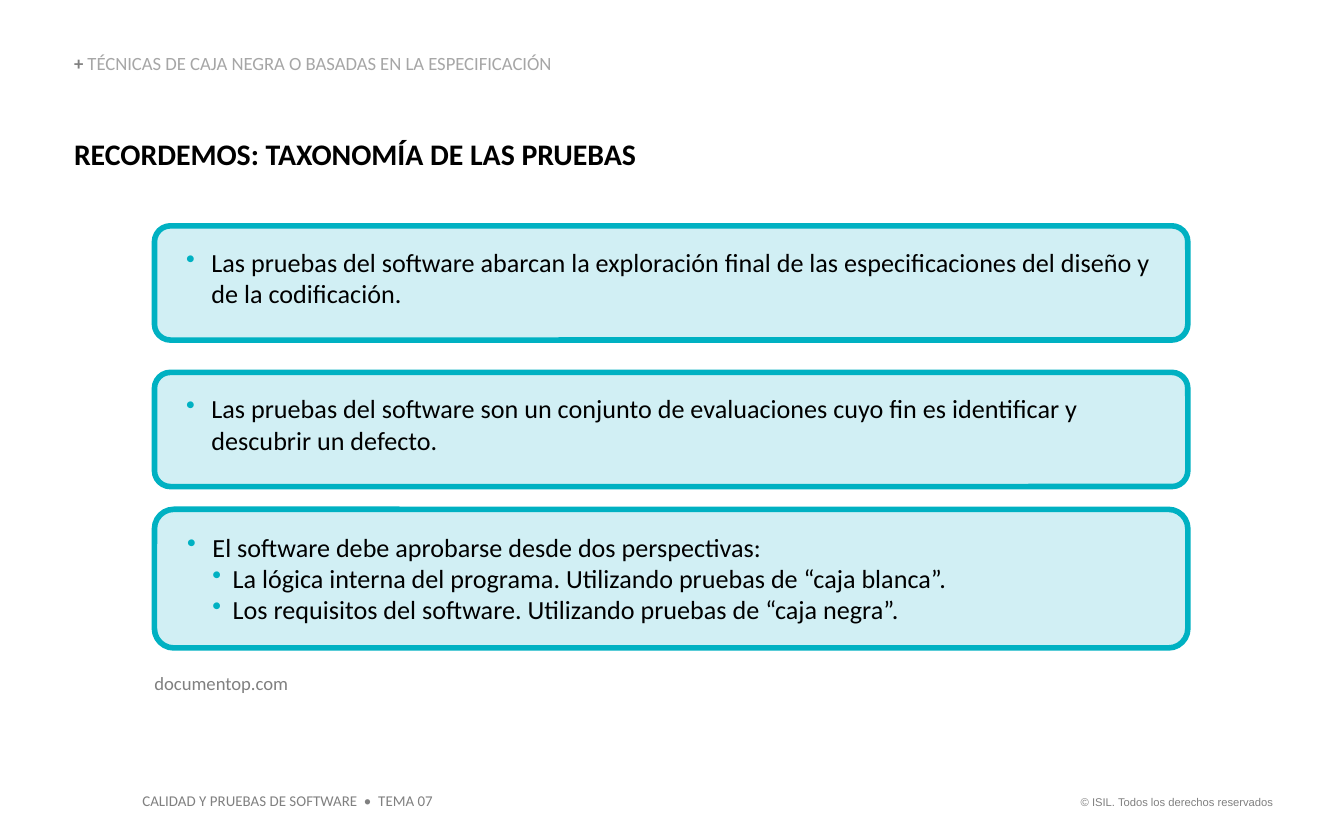
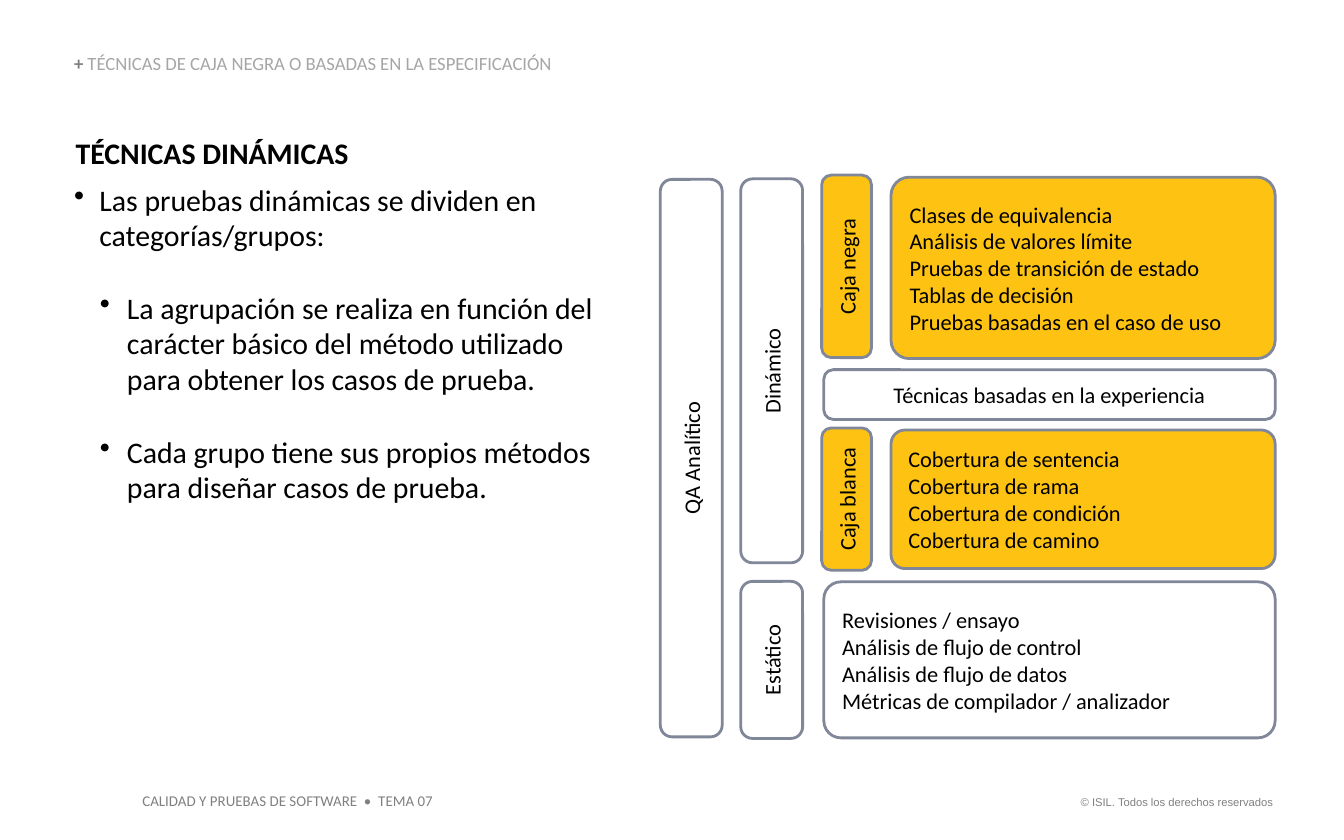
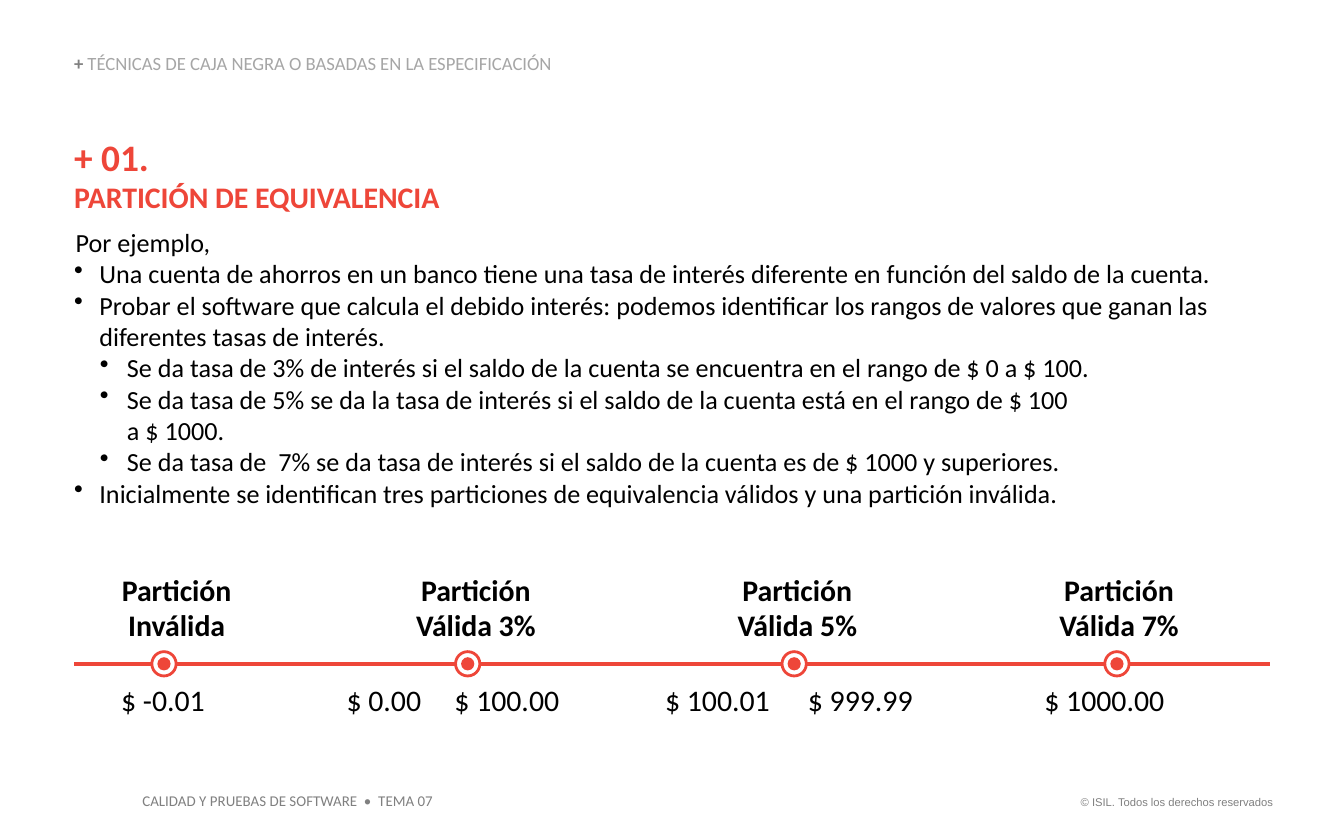
from dataclasses import dataclass

from lxml.etree import SubElement
from pptx import Presentation
from pptx.dml.color import RGBColor
from pptx.enum.shapes import MSO_CONNECTOR, MSO_SHAPE
from pptx.enum.text import MSO_ANCHOR, PP_ALIGN
from pptx.oxml.ns import qn
from pptx.util import Cm, Pt

LEFT, CENTER, RIGHT = PP_ALIGN.LEFT, PP_ALIGN.CENTER, PP_ALIGN.RIGHT
TOP, MIDDLE, BOTTOM = MSO_ANCHOR.TOP, MSO_ANCHOR.MIDDLE, MSO_ANCHOR.BOTTOM
ROUND, OVAL = MSO_SHAPE.ROUNDED_RECTANGLE, MSO_SHAPE.OVAL
STRAIGHT = MSO_CONNECTOR.STRAIGHT


@dataclass(frozen=True)
class Theme:
    """Colours, fonts and type sizes of the deck."""
    black: str = "000000"
    white: str = "FFFFFF"
    gray: str = "808080"
    pale: str = "A6A6A6"
    teal: str = "00B1C2"
    ice: str = "D1EFF4"
    gold: str = "FDC212"
    slate: str = "808799"
    red: str = "EE4639"
    font: str = "Calibri"
    legal: str = "Arial"
    tiny: int = 6
    foot: int = 8
    small: int = 10
    label: int = 12
    text: int = 14
    title: int = 16
    number: int = 20


T = Theme()
NONE = (0, 0, 0, 0)
INSET = (0.25, 0.13, 0.25, 0.13)
MARGIN = 1.4


@dataclass
class Line:
    """One paragraph and its look."""
    text: str
    size: int = T.text
    color: str = T.black
    bold: bool = False
    font: str = T.font
    align: int = LEFT
    level: int = 0
    indent: float = 0
    hang: float = 0
    bullet: str = ""
    before: float = 0
    after: float = 0


def rgb(code):
    """Turn a hex code into a colour."""
    return RGBColor.from_string(code)


def style(font, size, color, bold, name=T.font):
    """Set the look of a font."""
    font.name, font.size, font.bold = name, Pt(size), bold
    font.color.rgb = rgb(color)


def write(frame, lines, inset=INSET, anchor=TOP, wrap=True):
    """Fill a text frame with lines."""
    frame.word_wrap, frame.vertical_anchor = wrap, anchor
    (frame.margin_left, frame.margin_top,
     frame.margin_right, frame.margin_bottom) = map(Cm, inset)
    for i, line in enumerate(lines):
        para = frame.add_paragraph() if i else frame.paragraphs[0]
        para.text, para.alignment, para.level = line.text, line.align, line.level
        props = para._p.get_or_add_pPr()
        props.set("marL", str(Cm(line.indent)))
        props.set("indent", str(Cm(-line.hang)))
        if line.bullet:
            tint = SubElement(props, qn("a:buClr"))
            SubElement(tint, qn("a:srgbClr"), val=line.bullet)
            SubElement(props, qn("a:buChar"), char="•")
        para.space_before, para.space_after = Pt(line.before), Pt(line.after)
        style(para.font, line.size, line.color, line.bold, line.font)


def label(slide, box, lines, **look):
    """Add a text box and return its frame."""
    frame = slide.shapes.add_textbox(*map(Cm, box)).text_frame
    write(frame, lines, **{"inset": NONE, **look})
    return frame


def shape(slide, kind, box, fill, edge=None, width=1.5):
    """Add a flat preset shape."""
    item = slide.shapes.add_shape(kind, *map(Cm, box))
    item.shadow.inherit = False
    item.fill.solid()
    item.fill.fore_color.rgb = rgb(fill)
    if edge:
        item.line.color.rgb, item.line.width = rgb(edge), Pt(width)
    else:
        item.line.fill.background()
    return item


def card(slide, top, height, lines):
    """Add a teal card of bulleted lines."""
    item = shape(slide, ROUND, (2.92, top, 19.53, height), T.ice, T.teal, 3)
    item.adjustments[0] = 0.14
    write(item.text_frame, lines, inset=(0.51, 0.3, 0.1, 0.13))


def block(slide, box, texts, fill=T.white, align=LEFT, curve=0.1):
    """Add a rounded block of the test map."""
    item = shape(slide, ROUND, box, fill, T.slate)
    item.adjustments[0] = curve
    lines = [Line(text, T.label, align=align) for text in texts]
    write(item.text_frame, lines, anchor=MIDDLE)
    return item


def tall(slide, box, text, fill=T.white):
    """Add an upright block whose text reads upwards."""
    x, y, w, h = box
    turned = (x + (w - h) / 2, y + (h - w) / 2, h, w)
    block(slide, turned, [text], fill, CENTER, 0.19).rotation = 270


def dot(slide, x, y):
    """Add a ringed dot around a centre."""
    for size, fill, edge in ((0.46, T.white, T.red), (0.25, T.red, None)):
        box = (x - size / 2, y - size / 2, size, size)
        shape(slide, OVAL, box, fill, edge)


def axis(slide, y):
    """Add the red line of partitions."""
    rule = slide.shapes.add_connector(
        STRAIGHT, Cm(MARGIN), Cm(y), Cm(24), Cm(y))
    rule.line.color.rgb, rule.line.width = rgb(T.red), Pt(2.25)
    SubElement(rule._element.spPr, qn("a:effectLst"))


def mixed(para, parts):
    """Add runs of differing look to a paragraph."""
    for text, size, color, bold in parts:
        run = para.add_run()
        run.text = text
        style(run.font, size, color, bold)


def start(deck):
    """Add a slide with its header and footers."""
    slide = deck.slides.add_slide(deck.slide_layouts[6])
    label(slide, (20.02, 14.91, 4.29, 0.51),
          [Line("© ISIL. Todos los derechos reservados", T.tiny, T.gray,
                font=T.legal, align=RIGHT)], inset=INSET, wrap=False)
    label(slide, (2.44, 14.83, 6.02, 0.61),
          [Line("CALIDAD Y PRUEBAS DE SOFTWARE  •  TEMA 07", T.foot, T.gray)],
          inset=INSET, wrap=False)
    head = label(slide, (MARGIN, 1.04, 9.17, 0.38), [], anchor=BOTTOM)
    para = head.paragraphs[0]
    para.line_spacing = 0.9
    mixed(para, [
        ("+ ", T.small, T.gray, True),
        ("TÉCNICAS DE CAJA NEGRA O BASADAS EN LA ESPECIFICACIÓN",
         T.small, T.pale, False)])
    return slide


def point(text, size=T.text, tint=T.black, **look):
    """Make a first-level bullet."""
    return Line(text, size, bullet=tint, indent=0.48, hang=0.48, **look)


def sub(text, size=T.text, **look):
    """Make a second-level bullet."""
    return Line(text, size, bullet=T.black, indent=1, hang=0.51, **look)


def recall(deck):
    """Build the slide on the kinds of tests."""
    slide = start(deck)
    label(slide, (MARGIN, 2.57, 22.05, 0.69),
          [Line("RECORDEMOS: TAXONOMÍA DE LAS PRUEBAS", T.title, bold=True)])
    label(slide, (2.92, 12.7, 10.8, 0.43),
          [Line("documentop.com", T.small, T.gray)])
    views = [
        Line(text, level=1, bullet=T.teal, indent=0.86, hang=0.38)
        for text in (
            "La lógica interna del programa. Utilizando pruebas de “caja blanca”.",
            "Los requisitos del software. Utilizando pruebas de “caja negra”.")]
    for top, height, text, more in (
            (4.27, 2.16, "Las pruebas del software abarcan la exploración final de "
             "las especificaciones del diseño y de la codificación.", []),
            (7.04, 2.16, "Las pruebas del software son un conjunto de evaluaciones "
             "cuyo fin es identificar y descubrir un defecto.", []),
            (9.63, 2.62, "El software debe aprobarse desde dos perspectivas:", views)):
        card(slide, top, height, [point(text, tint=T.teal), *more])


def dynamic(deck):
    """Build the slide on dynamic techniques."""
    slide = start(deck)
    gap = 19.5
    label(slide, (MARGIN, 2.54, 10.34, 7.32), [
        Line("TÉCNICAS DINÁMICAS", T.title, bold=True, indent=0.03, after=6),
        point("Las pruebas dinámicas se dividen en categorías/grupos:", T.title),
        sub("La agrupación se realiza en función del carácter básico del método "
            "utilizado para obtener los casos de prueba.",
            T.title, level=1, before=gap),
        sub("Cada grupo tiene sus propios métodos para diseñar casos de prueba.",
            T.title, level=1, before=gap)])
    block(slide, (16.84, 8.13, 7.26, 2.62), [
        "Cobertura de sentencia", "Cobertura de rama",
        "Cobertura de condición", "Cobertura de camino"], T.gold)
    block(slide, (16.84, 3.35, 7.26, 3.43), [
        "Clases de equivalencia", "Análisis de valores límite",
        "Pruebas de transición de estado", "Tablas de decisión",
        "Pruebas basadas en el caso de uso"], T.gold)
    block(slide, (15.57, 6.99, 8.53, 0.94),
          ["Técnicas basadas en la experiencia"], align=CENTER, curve=0.19)
    block(slide, (15.57, 11, 8.53, 2.95), [
        "Revisiones / ensayo", "Análisis de flujo de control",
        "Análisis de flujo de datos", "Métricas de compilador / analizador"],
        curve=0.11)
    tall(slide, (15.53, 3.31, 0.94, 3.45), "Caja negra", T.gold)
    tall(slide, (15.53, 8.09, 0.94, 2.69), "Caja blanca", T.gold)
    tall(slide, (14, 3.38, 1.17, 7.26), "Dinámico")
    tall(slide, (14, 10.99, 1.17, 2.97), "Estático")
    tall(slide, (12.48, 3.39, 1.17, 10.54), "QA Analítico")


def classes(deck):
    """Build the slide on equivalence partitions."""
    slide = start(deck)
    level = 12.55
    axis(slide, level)
    for x, width, text in (
            (2.29, 2.11, "$ -0.01"), (6.55, 1.93, "$ 0.00"),
            (8.59, 2.51, "$ 100.00"), (12.57, 2.51, "$ 100.01"),
            (15.27, 2.51, "$ 999.99"), (19.74, 2.82, "$ 1000.00")):
        label(slide, (x, 12.88, width, 0.69), [Line(text, T.title)])
    for x, width, center, name in (
            (2.03, 2.62, 3.1, "Inválida"), (7.37, 3.25, 8.84, "Válida 3%"),
            (13.61, 2.92, 15.01, "Válida 5%"), (19.69, 2.92, 21.11, "Válida 7%")):
        label(slide, (x, 10.8, width, 1.37),
              [Line(text, T.title, bold=True, align=CENTER)
               for text in ("Partición", name)])
        dot(slide, center, level)
    body = label(slide, (MARGIN, 2.54, 22.4, 7.14), [
        Line("", T.title, T.red, True, after=6),
        Line("Por ejemplo,", indent=0.03),
        point("Una cuenta de ahorros en un banco tiene una tasa de interés "
              "diferente en función del saldo de la cuenta.", level=1),
        point("Probar el software que calcula el debido interés: podemos "
              "identificar los rangos de valores que ganan las diferentes "
              "tasas de interés.", level=1),
        sub("Se da tasa de 3% de interés si el saldo de la cuenta se encuentra "
            "en el rango de $ 0 a $ 100.", level=2),
        sub("Se da tasa de 5% se da la tasa de interés si el saldo de la cuenta "
            "está en el rango de $ 100\va $ 1000.", level=2),
        sub("Se da tasa de  7% se da tasa de interés si el saldo de la cuenta "
            "es de $ 1000 y superiores.", level=2),
        point("Inicialmente se identifican tres particiones de equivalencia "
              "válidos y una partición inválida.", level=1)])
    head = body.paragraphs[0]
    mixed(head, [("+ 01.", T.number, T.red, True)])
    head.add_line_break()
    mixed(head, [("PARTICIÓN DE EQUIVALENCIA", T.title, T.red, True)])


def main():
    """Build and save the deck."""
    deck = Presentation()
    deck.slide_width, deck.slide_height = Cm(25.4), Cm(15.88)
    for build in (recall, dynamic, classes):
        build(deck)
    deck.save("out.pptx")


if __name__ == "__main__":
    main()
